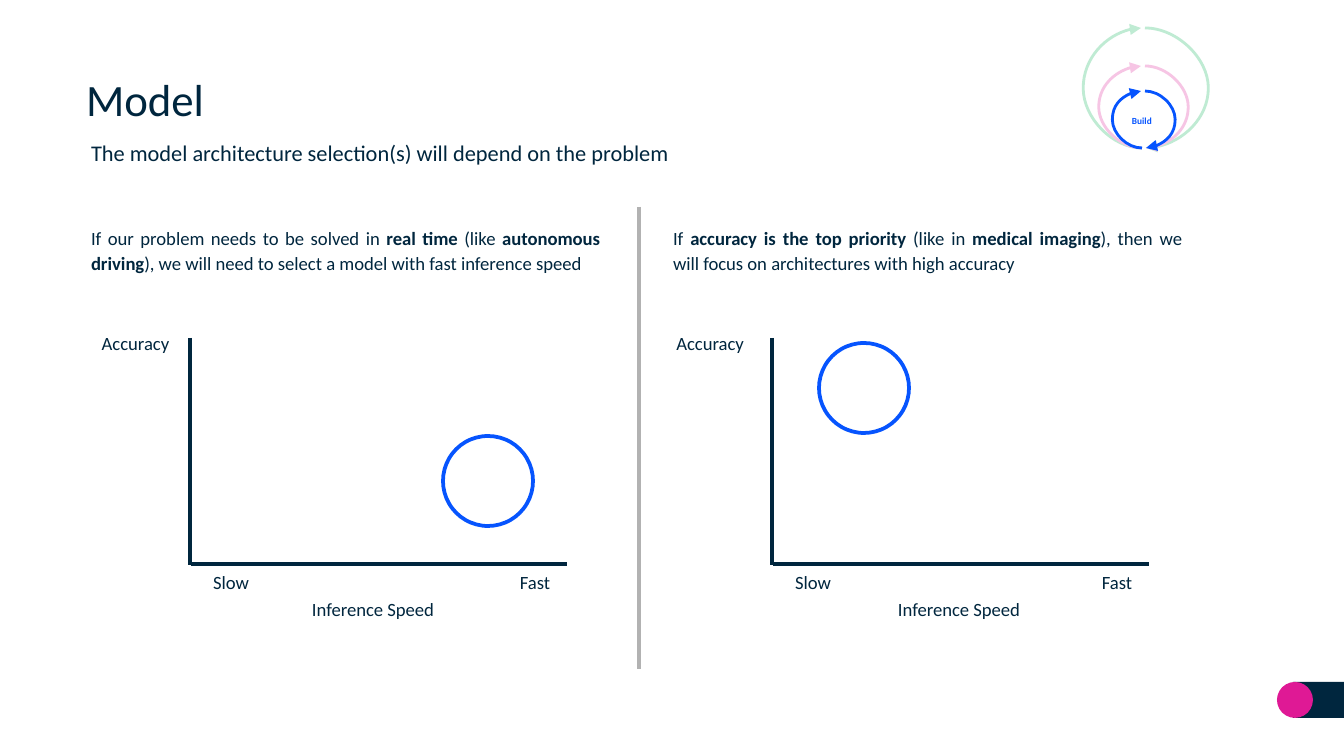
"""Build the slide on choosing a model by inference speed or accuracy."""
from lxml.etree import SubElement
from pptx import Presentation
from pptx.dml.color import RGBColor
from pptx.enum.shapes import MSO_CONNECTOR, MSO_SHAPE
from pptx.enum.text import MSO_ANCHOR, MSO_AUTO_SIZE, PP_ALIGN
from pptx.oxml.ns import qn
from pptx.util import Emu, Pt

STRAIGHT, CURVE = MSO_CONNECTOR.STRAIGHT, MSO_CONNECTOR.CURVE
RECTANGLE, OVAL = MSO_SHAPE.RECTANGLE, MSO_SHAPE.OVAL
LEFT, CENTER, JUSTIFY = PP_ALIGN.LEFT, PP_ALIGN.CENTER, PP_ALIGN.JUSTIFY
TOP, MIDDLE = MSO_ANCHOR.TOP, MSO_ANCHOR.MIDDLE
FIT_SHAPE, NO_FIT = MSO_AUTO_SIZE.SHAPE_TO_FIT_TEXT, MSO_AUTO_SIZE.NONE

THEME = {
    "font": "Calibri",
    "navy": RGBColor.from_string("00263E"),
    "blue": RGBColor.from_string("0654FE"),
    "pink": RGBColor.from_string("DF1995"),
    "green": RGBColor.from_string("00B050"),
    "gray": RGBColor.from_string("B2B2B2"),
    "white": RGBColor.from_string("FFFFFF"),
    "title": 24, "subtitle": 12, "body": 10, "ring": 5,
}
PX = 914400 / 134.4

presentation = Presentation()
presentation.slide_width, presentation.slide_height = Emu(round(1344 * PX)), Emu(round(756 * PX))
slide = presentation.slides.add_slide(presentation.slide_layouts[6])
shapes = slide.shapes


def add_text(text, box, size="body", color="navy", align=CENTER, bold=False,
             anchor=TOP, inset=1, spacing=1.15, fit=FIT_SHAPE):
    """Add a text box; parts between asterisks switch the weight."""
    frame = shapes.add_textbox(*[Emu(round(value * PX)) for value in box]).text_frame
    frame.word_wrap, frame.auto_size, frame.vertical_anchor = True, fit, anchor
    frame.margin_left = frame.margin_right = Emu(round(inset * PX))
    frame.margin_top = frame.margin_bottom = Emu(round(inset * PX))
    paragraph = frame.paragraphs[0]
    paragraph.alignment, paragraph.line_spacing = align, spacing
    for index, part in enumerate(text.split("*")):
        run = paragraph.add_run()
        run.text = part
        run.font.name, run.font.size = THEME["font"], Pt(THEME[size])
        run.font.color.rgb = THEME[color]
        run.font.bold = bold or index % 2 == 1


def add_line(kind, points, color, width):
    """Add a connector without a shadow and return its properties element."""
    connector = shapes.add_connector(kind, *[Emu(round(value * PX)) for value in points])
    connector.line.color.rgb, connector.line.width = THEME[color], Pt(width)
    properties = connector._element.spPr
    SubElement(properties, qn("a:effectLst"))
    return properties


add_text("Model", (73, 62, 1203, 74), size="title", align=LEFT, anchor=MIDDLE,
         inset=13, spacing=1.0, fit=NO_FIT)

ring_bottom = 148
rings = [("green", 28, 58.5, 63), ("pink", 66, 43, 43), ("blue", 91, 29.5, 30)]
for color, ring_top, left_bend, right_bend in rings:
    if color == "blue":
        halo = shapes.add_shape(OVAL, *[Emu(round(value * PX)) for value in (1078, 20, 134, 134)])
        halo.shadow.inherit = False
        halo.line.fill.background()
        halo.fill.solid()
        halo.fill.fore_color.rgb = THEME["white"]
        halo_color = halo._element.spPr.find(".//" + qn("a:srgbClr"))
        SubElement(halo_color, qn("a:alpha"), val="75000")
    for x, bend, degrees in ((1141, left_bend, 180), (1145, right_bend, 0)):
        arc = add_line(CURVE, (x, ring_top, x + 1, ring_bottom), color, 1.5)
        arc.find(qn("a:xfrm")).set("rot", str(degrees * 60000))
        guides = arc.find(qn("a:prstGeom")).find(qn("a:avLst"))
        SubElement(guides, qn("a:gd"), name="adj1", fmla=f"val {round(bend * 100000)}")
        SubElement(arc.find(qn("a:ln")), qn("a:tailEnd"), type="triangle")
add_text("Build", (1093, 113, 98, 16), size="ring", color="blue", bold=True)

add_text("The model architecture selection(s) will depend on the problem",
         (90, 134, 758, 34), size="subtitle", align=JUSTIFY)

panels = [
    (90, "If our problem needs to be solved in *real time *(like *autonomous driving*), "
         "we will need to select a model with fast inference speed", (90, 91), (274, 198)),
    (672, "If *accuracy is the top priority *(like in *medical imaging*), "
          "then we will focus on architectures with high accuracy", (657, 106), (848, 222)),
]
for left, reason, (accuracy_left, accuracy_width), (speed_left, speed_width) in panels:
    add_text(reason, (left, 222, 511, 81), align=JUSTIFY)
    add_line(STRAIGHT, (left + 101, 564, left + 477, 564), "navy", 2.25)
    add_line(STRAIGHT, (left + 100, 338, left + 100, 565), "navy", 2.25)
    add_text("Accuracy", (accuracy_left, 327, accuracy_width, 28))
    add_text("Slow", (left + 109, 566, 64, 23))
    add_text("Inference Speed", (speed_left, 594, speed_width, 29))
    add_text("Fast", (left + 413, 566, 64, 23))
add_line(STRAIGHT, (639, 207, 639, 669), "gray", 2.25)

marks = [
    (RECTANGLE, (1293, 682, 51, 36), "navy", None),
    (OVAL, (1277, 682, 36, 36), "pink", None),
    (OVAL, (443, 436, 90, 90), None, "blue"),
    (OVAL, (819, 343, 90, 90), None, "blue"),
]
for kind, box, fill, outline in marks:
    shape = shapes.add_shape(kind, *[Emu(round(value * PX)) for value in box])
    shape.shadow.inherit = False
    if fill:
        shape.fill.solid()
        shape.fill.fore_color.rgb = THEME[fill]
        shape.line.fill.background()
    else:
        shape.fill.background()
        shape.line.color.rgb, shape.line.width = THEME[outline], Pt(2)

presentation.save("out.pptx")
